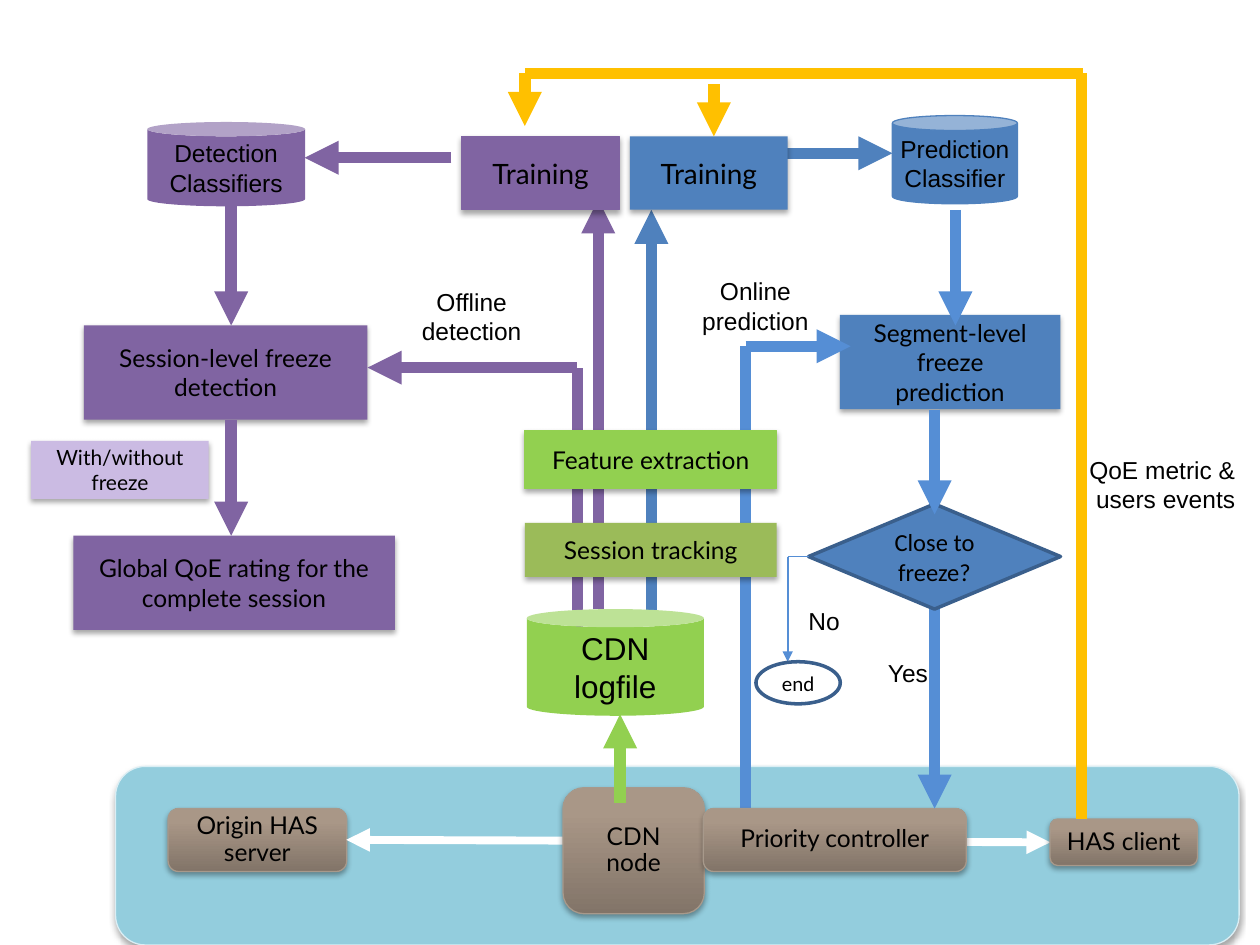
from lxml import etree
from pptx import Presentation
from pptx import util as u
from pptx.dml.color import RGBColor
from pptx.enum import shapes, text
from pptx.oxml import ns

COLORS = {
    "purple": "8064A2", "lilac": "CBBBE3", "blue": "4F81BD", "sky": "558ED5",
    "navy": "3A5F8C", "lime": "92D050", "olive": "9BBB59", "gold": "FFC000",
    "lagoon": "93CDDD", "mist": "DBEEF4", "taupe": "A99787",
    "umber": "827468", "edge": "A7998B", "white": "FFFFFF", "black": "000000",
}
KIND = shapes.MSO_SHAPE
THICK = 6.5


def rgb(name):
    return RGBColor.from_string(COLORS[name])


def add_child(parent, tag, **attributes):
    return etree.SubElement(parent, ns.qn(tag), attributes)


def add_shadow(node):
    effects = node._element.spPr.find(ns.qn("a:effectLst"))
    shadow = add_child(effects, "a:outerShdw", blurRad="40000", dist="23000",
                       dir="5400000", rotWithShape="0")
    tint = add_child(shadow, "a:srgbClr", val=COLORS["black"])
    add_child(tint, "a:alpha", val="35000")


def write(node, wording, font, size, inset=None, wrap=True, spacing=None):
    frame = node.text_frame
    frame.text = wording
    frame.word_wrap = wrap
    frame.vertical_anchor = text.MSO_ANCHOR.MIDDLE
    if inset is not None:
        frame.margin_left = frame.margin_right = u.Cm(inset)
        frame.margin_top = frame.margin_bottom = u.Cm(inset)
    for paragraph in frame.paragraphs:
        paragraph.alignment = text.PP_ALIGN.CENTER
        if spacing:
            paragraph.line_spacing = spacing
        for run in paragraph.runs:
            run.font.name = font
            run.font.size = u.Pt(size)
            run.font.color.rgb = rgb("black")


def add_node(slide, kind, place, fill=None, edge=None, width=0.75):
    node = slide.shapes.add_shape(kind, *map(u.Cm, place))
    node.shadow.inherit = False
    if fill:
        node.fill.solid()
        node.fill.fore_color.rgb = rgb(fill)
    else:
        node.fill.background()
    if edge:
        node.line.color.rgb = rgb(edge)
        node.line.width = u.Pt(width)
    else:
        node.line.fill.background()
    return node


def add_step(slide, wording, place, fill, size=14, edge=None):
    step = add_node(slide, KIND.RECTANGLE, place, fill, edge)
    add_shadow(step)
    write(step, wording, "Lato", size, inset=0.4)


def add_store(slide, wording, place, fill, size=14, edge=None):
    store = add_node(slide, KIND.CAN, place, fill, edge)
    store.adjustments[0] = 0.17
    write(store, wording, "Arial", size, wrap=False)


def add_host(slide, wording, place):
    host = add_node(slide, KIND.ROUNDED_RECTANGLE, place, edge="edge")
    add_shadow(host)
    host.fill.gradient()
    host.fill.gradient_angle = 90
    dark, light = host.fill.gradient_stops
    dark.color.rgb, dark.position = rgb("umber"), 0
    light.color.rgb, light.position = rgb("taupe"), 0.8
    write(host, wording, "Lato", 14, spacing=0.9)


def add_label(slide, wording, place):
    label = slide.shapes.add_textbox(*map(u.Cm, place))
    write(label, wording, "Arial", 14, wrap=False)


def add_flow(slide, start, end, color, width=THICK, ends=("tail",)):
    flow = slide.shapes.add_connector(shapes.MSO_CONNECTOR.STRAIGHT,
                                      *map(u.Cm, start + end))
    flow.line.color.rgb = rgb(color)
    flow.line.width = u.Pt(width)
    outline = flow.line._get_or_add_ln()
    for name in ends:
        add_child(outline, f"a:{name}End", type="triangle")
    add_child(flow._element.spPr, "a:effectLst")


def add_network(slide):
    panel = add_node(slide, KIND.ROUNDED_RECTANGLE, (2.33, 15.45, 22.65, 3.6),
                     "lagoon", "mist")
    add_shadow(panel)
    add_flow(slide, (15.03, 16.93), (15.03, 6.98), "sky", ends=())
    add_flow(slide, (12.06, 12.28), (12.06, 4.02), "purple")
    add_host(slide, "Origin HAS server", (3.39, 16.3, 3.6, 1.27))
    add_flow(slide, (6.98, 16.93), (21.17, 16.98), "white", 4.5,
             ("head", "tail"))
    add_host(slide, "CDN node", (11.35, 15.88, 2.85, 2.54))
    add_host(slide, "HAS client", (21.17, 16.51, 2.97, 0.94))


def add_detection(slide):
    add_step(slide, "Global QoE rating for the complete session",
             (1.48, 10.8, 6.48, 1.9), "purple")
    add_store(slide, "CDN\nlogfile", (10.62, 12.28, 3.57, 2.15), "lime", 18)
    add_flow(slide, (12.5, 16.19), (12.5, 14.4), "lime")
    add_step(slide, "With/without freeze", (0.63, 8.89, 3.58, 1.17),
             "lilac", 12)
    add_flow(slide, (10.58, 1.48), (21.83, 1.48), "gold", ends=())
    add_step(slide, "Training", (9.31, 2.75, 3.18, 1.48), "purple", 16,
             "purple")
    add_label(slide, "Offline\ndetection", (7.62, 5.72, 3.78, 1.32))
    add_store(slide, "Detection\nClassifiers", (2.97, 2.46, 3.18, 1.7),
              "purple")
    add_flow(slide, (9.1, 3.18), (6.14, 3.18), "purple")
    add_flow(slide, (4.66, 4.02), (4.66, 6.56), "purple")
    add_step(slide, "Session-level freeze detection",
             (1.69, 6.56, 5.72, 1.9), "purple")


def add_prediction(slide):
    add_step(slide, "Feature extraction", (10.58, 8.68, 5.08, 1.17),
             "lime", edge="lime")
    add_store(slide, "Prediction\nClassifier", (17.99, 2.33, 2.52, 1.78),
              "blue", edge="blue")
    add_step(slide, "Session tracking", (10.58, 10.54, 5.08, 1.09), "olive")
    add_step(slide, "Segment-level\nfreeze prediction",
             (16.93, 6.35, 4.45, 1.9), "blue")
    add_host(slide, "Priority controller", (14.18, 16.3, 5.3, 1.27))
    add_flow(slide, (14.18, 3.09), (17.99, 3.09), "blue")
    add_flow(slide, (19.26, 4.23), (19.26, 6.56), "sky")
    add_flow(slide, (15.03, 6.98), (17.15, 6.98), "sky")
    add_flow(slide, (18.84, 8.26), (18.84, 16.3), "sky")
    add_flow(slide, (21.8, 16.51), (21.8, 1.48), "gold", ends=())
    add_flow(slide, (11.64, 7.41), (7.41, 7.41), "purple")
    add_flow(slide, (4.66, 8.47), (4.66, 10.8), "purple")
    add_label(slide, "Online\nprediction", (13.34, 5.5, 3.78, 1.32))


def add_decision(slide):
    decision = add_node(slide, KIND.DIAMOND, (16.3, 10.16, 5.08, 2.12),
                        "blue", "navy", 2)
    write(decision, "Close to freeze?", "Calibri", 14)
    add_flow(slide, (18.84, 8.26), (18.84, 10.37), "sky")
    add_label(slide, "Yes", (16.93, 12.91, 2.75, 1.32))
    add_label(slide, "QoE metric & \nusers events", (21.61, 9.1, 3.78, 1.32))
    add_flow(slide, (15.88, 11.22), (16.3, 11.22), "sky", 1, ())
    add_flow(slide, (15.88, 11.22), (15.88, 13.34), "sky", 1)
    add_label(slide, "No", (15.24, 11.85, 2.75, 1.32))
    finish = add_node(slide, KIND.OVAL, (15.24, 13.34, 1.7, 0.85),
                      edge="navy", width=2)
    write(finish, "end", "Calibri", 12, wrap=False)
    add_step(slide, "Training", (12.7, 2.75, 3.18, 1.48), "blue", 16)
    add_flow(slide, (10.58, 1.48), (10.58, 2.54), "gold")
    add_flow(slide, (14.39, 1.7), (14.39, 2.75), "gold")


def main():
    deck = Presentation()
    deck.slide_width, deck.slide_height = u.Cm(25.4), u.Cm(19.05)
    slide = deck.slides.add_slide(deck.slide_layouts[6])
    add_flow(slide, (13.13, 12.5), (13.13, 4.23), "blue")
    add_flow(slide, (11.64, 12.7), (11.64, 7.41), "purple", ends=())
    add_network(slide)
    add_detection(slide)
    add_prediction(slide)
    add_decision(slide)
    deck.save("out.pptx")


if __name__ == "__main__":
    main()
